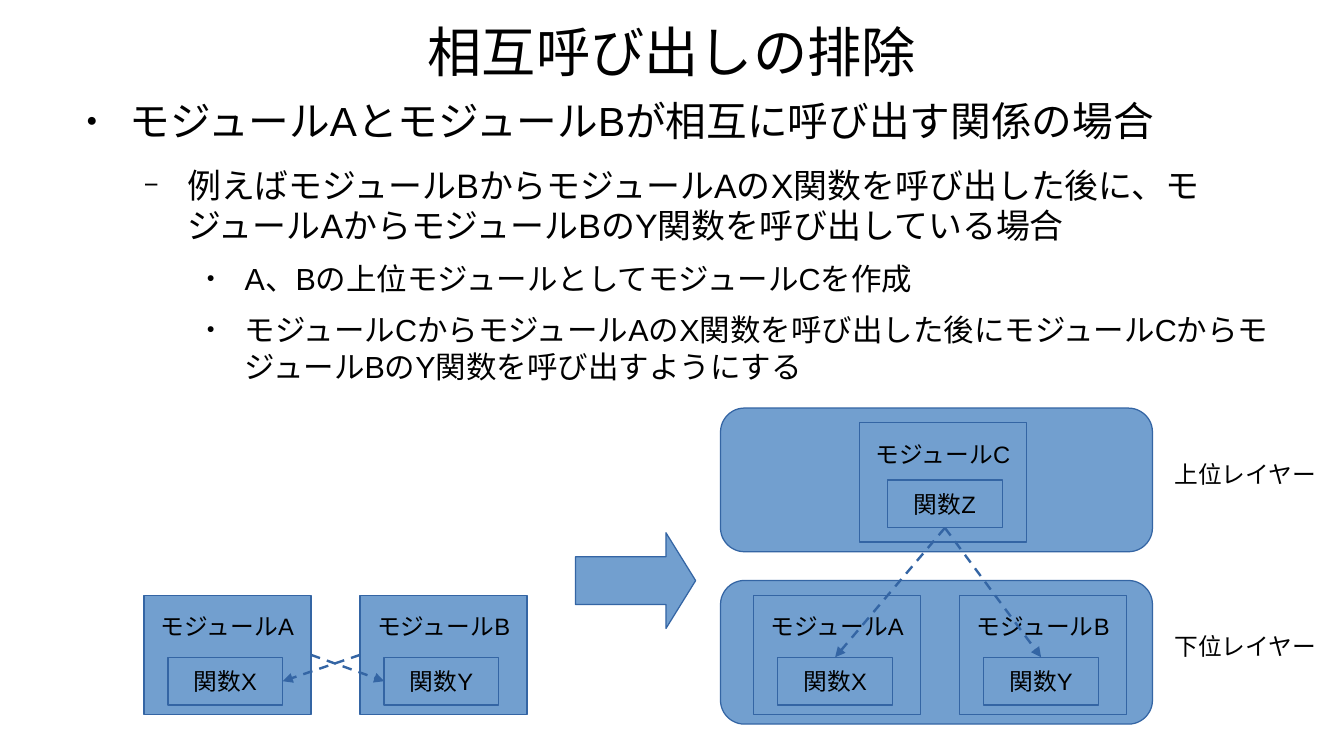
from dataclasses import dataclass
from typing import Any

from lxml.etree import SubElement
from pptx import Presentation
from pptx.dml.color import RGBColor
from pptx.enum.dml import MSO_LINE_DASH_STYLE as Dash
from pptx.enum.shapes import MSO_CONNECTOR as Connector
from pptx.enum.shapes import MSO_SHAPE as Preset
from pptx.enum.text import MSO_ANCHOR as Anchor
from pptx.enum.text import PP_ALIGN as Align
from pptx.oxml.ns import qn
from pptx.util import Pt

FILL, EDGE, INK = "729FCF", "3465A4", "000000"
MODULE_SIZE = (98.6, 70.6)
FUNCTION_SIZE = (67.7, 28.3)
LAYER_SIZE = (255, 84.8)
LAYER_LEFT = 425.4
UPPER_TOP, LOWER_TOP = 241, 342.8
MODULE_TOP = 351.4
TOP, LEFT, BOTTOM, RIGHT = range(4)


@dataclass
class Module:
    label: str
    function: str
    left: float
    top: float = MODULE_TOP
    inset_x: float = 14.2
    inset_y: float = 36.7


@dataclass
class Level:
    margin: float
    hanging: float
    before: float
    size: float
    bullet: str
    percent: int


@dataclass
class Point:
    level: Level
    text: str


@dataclass
class Call:
    source: Any
    source_side: int
    target: Any
    target_side: int


CASE = Level(34, -25.5, 14.2, 24, "●", 45)
EXAMPLE = Level(68, -25.5, 11.3, 20, "−", 75)
REMEDY = Level(102, -22.5, 8.5, 18, "●", 45)
POINTS = [
    Point(CASE, "モジュールAとモジュールBが相互に呼び出す関係の場合"),
    Point(EXAMPLE, "例えばモジュールBからモジュールAのX関数を呼び出した後に、"
                   "モジュールAからモジュールBのY関数を呼び出している場合"),
    Point(REMEDY, "A、Bの上位モジュールとしてモジュールCを作成"),
    Point(REMEDY, "モジュールCからモジュールAのX関数を呼び出した後に"
                  "モジュールCからモジュールBのY関数を呼び出すようにする"),
]


def color(value: str) -> RGBColor:
    return RGBColor.from_string(value)


def apply(target: Any, values: dict[str, Any]) -> None:
    for name, value in values.items():
        setattr(target, name, value)


def write(paragraph: Any, text: str, size: float, align: Align) -> None:
    paragraph.alignment = align
    run = paragraph.add_run()
    run.text = text
    apply(run.font, {"size": Pt(size), "name": "Arial"})
    run.font.color.rgb = color(INK)


def set_frame(frame: Any, anchor: Anchor, side: float, top: float) -> None:
    apply(frame, {
        "word_wrap": True, "vertical_anchor": anchor,
        "margin_left": Pt(side), "margin_right": Pt(side),
        "margin_top": Pt(top), "margin_bottom": Pt(top),
    })


def add_box(shapes: Any, preset: Preset, left: float, top: float,
            size: tuple[float, float]) -> Any:
    box = shapes.add_shape(preset, Pt(left), Pt(top), *map(Pt, size))
    box.shadow.inherit = False
    box.fill.solid()
    box.fill.fore_color.rgb = color(FILL)
    box.line.color.rgb = color(EDGE)
    box.line.width = Pt(0)
    return box


def add_text(shapes: Any, left: float, top: float, size: tuple[float, float],
             anchor: Anchor, side: float, margin: float) -> Any:
    frame = shapes.add_textbox(Pt(left), Pt(top), *map(Pt, size)).text_frame
    set_frame(frame, anchor, side, margin)
    return frame


def add_module(shapes: Any, module: Module) -> tuple[Any, Any]:
    outer = add_box(shapes, Preset.RECTANGLE, module.left, module.top, MODULE_SIZE)
    set_frame(outer.text_frame, Anchor.TOP, 7.2, 10)
    write(outer.text_frame.paragraphs[0], module.label, 14, Align.CENTER)
    inner = add_box(shapes, Preset.RECTANGLE, module.left + module.inset_x,
                    module.top + module.inset_y, FUNCTION_SIZE)
    set_frame(inner.text_frame, Anchor.MIDDLE, 7.2, 3.6)
    write(inner.text_frame.paragraphs[0], module.function, 14, Align.CENTER)
    return outer, inner


def add_point(paragraph: Any, point: Point) -> None:
    level = point.level
    write(paragraph, point.text, level.size, Align.LEFT)
    paragraph.space_before = Pt(level.before)
    properties = paragraph._p.get_or_add_pPr()
    properties.set("marL", str(Pt(level.margin)))
    properties.set("indent", str(Pt(level.hanging)))
    SubElement(SubElement(properties, qn("a:buClr")), qn("a:srgbClr"), val=INK)
    SubElement(properties, qn("a:buSzPct"), val=str(level.percent * 1000))
    SubElement(properties, qn("a:buFont"), typeface="Arial")
    SubElement(properties, qn("a:buChar"), char=level.bullet)


def add_call(shapes: Any, call: Call) -> None:
    arrow = shapes.add_connector(Connector.STRAIGHT, 0, 0, 0, 0)
    arrow.begin_connect(call.source, call.source_side)
    arrow.end_connect(call.target, call.target_side)
    arrow.line.color.rgb = color(EDGE)
    apply(arrow.line, {"width": Pt(1.42), "dash_style": Dash.DASH})
    SubElement(arrow.line._get_or_add_ln(), qn("a:tailEnd"), type="triangle")
    SubElement(arrow._element.spPr, qn("a:effectLst"))


def main() -> None:
    deck = Presentation()
    apply(deck, {"slide_width": Pt(793.44), "slide_height": Pt(446.4)})
    shapes = deck.slides.add_slide(deck.slide_layouts[6]).shapes

    title = add_text(shapes, 39.6, 7.2, (714.2, 46.1), Anchor.MIDDLE, 0, 0)
    write(title.paragraphs[0], "相互呼び出しの排除", 32, Align.CENTER)

    body = add_text(shapes, 42.5, 56.9, (714.2, 184.3), Anchor.TOP, 0, 0)
    for index, point in enumerate(POINTS):
        add_point(body.add_paragraph() if index else body.paragraphs[0], point)

    for name, top in (("上位レイヤー", UPPER_TOP), ("下位レイヤー", LOWER_TOP)):
        add_box(shapes, Preset.ROUNDED_RECTANGLE, LAYER_LEFT, top, LAYER_SIZE)
        layer_name = add_text(shapes, 686.2, top + 26.8, (107, 27.4), Anchor.TOP, 7.2, 3.6)
        write(layer_name.paragraphs[0], name, 14, Align.LEFT)

    change = add_box(shapes, Preset.RIGHT_ARROW, 339.8, 314.6, (70.9, 56.5))
    change.adjustments[0], change.adjustments[1] = 0.5, 0.31

    before_a, before_x = add_module(shapes, Module("モジュールA", "関数X", 85))
    before_b, before_y = add_module(shapes, Module("モジュールB", "関数Y", 212.6))
    _, after_z = add_module(
        shapes, Module("モジュールC", "関数Z", 507.5, 249.4, 16.5, 34))
    _, after_x = add_module(shapes, Module("モジュールA", "関数X", 445))
    _, after_y = add_module(shapes, Module("モジュールB", "関数Y", 566.6))

    for call in (
        Call(before_b, LEFT, before_x, RIGHT),
        Call(before_a, RIGHT, before_y, LEFT),
        Call(after_z, BOTTOM, after_x, TOP),
        Call(after_z, BOTTOM, after_y, TOP),
    ):
        add_call(shapes, call)

    deck.save("out.pptx")


if __name__ == "__main__":
    main()
